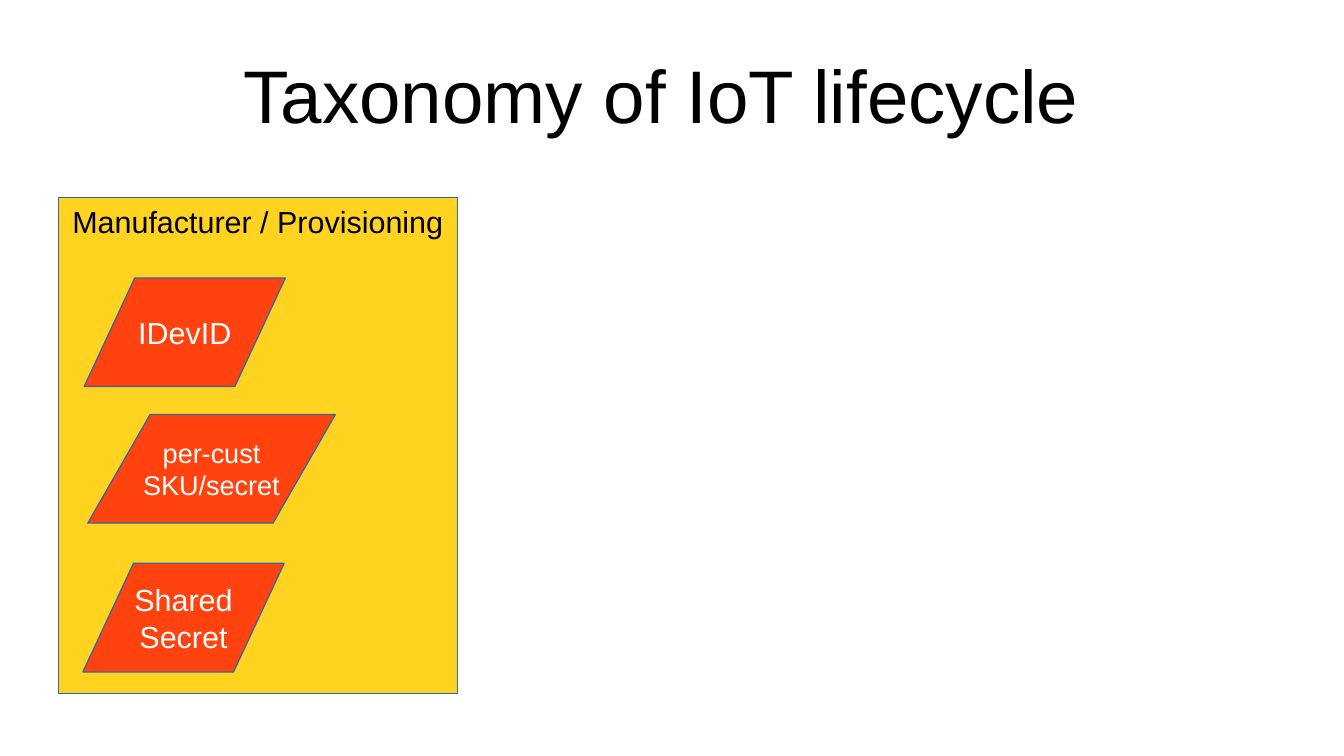
"""Build the IoT lifecycle taxonomy slide."""
from dataclasses import dataclass

from pptx import Presentation
from pptx import util as u
from pptx.dml.color import RGBColor
from pptx.enum import shapes, text


@dataclass(frozen=True)
class Theme:
    """Colours, type sizes and font of the slide."""
    font: str = "Arial"
    ink: str = "000000"
    pale: str = "FFFFFF"
    panel: str = "FFD320"
    tag: str = "FF420E"
    edge: str = "3465A4"
    head: int = 44
    body: int = 18
    small: int = 16


T = Theme()
KIND = shapes.MSO_SHAPE
ANCHOR = text.MSO_ANCHOR
TAG_HIGH = 64.08


def write(shape, words, size=T.body, color=T.ink, anchor=ANCHOR.MIDDLE,
          wrap=False, pad=(7.2, 3.6)):
    """Fill a shape with centred lines of text."""
    frame = shape.text_frame
    frame.text = words
    frame.word_wrap = wrap
    frame.auto_size = text.MSO_AUTO_SIZE.NONE
    frame.vertical_anchor = anchor
    frame.margin_left = frame.margin_right = u.Pt(pad[0])
    frame.margin_top = frame.margin_bottom = u.Pt(pad[1])
    for line in frame.paragraphs:
        line.alignment = text.PP_ALIGN.CENTER
        for run in line.runs:
            run.font.name = T.font
            run.font.size = u.Pt(size)
            run.font.color.rgb = RGBColor.from_string(color)


def draw(slide, kind, box, fill):
    """Add a filled shape with a hairline edge."""
    shape = slide.shapes.add_shape(kind, *map(u.Pt, box))
    shape.shadow.inherit = False
    shape.fill.solid()
    shape.fill.fore_color.rgb = RGBColor.from_string(fill)
    shape.line.color.rgb = RGBColor.from_string(T.edge)
    shape.line.width = u.Pt(0)
    return shape


def title(slide, box, words):
    """Place the slide title in its box."""
    head = slide.shapes.title
    head.left, head.top, head.width, head.height = map(u.Pt, box)
    write(head, words, size=T.head, wrap=True, pad=(0, 0))


def panel(slide, box, label, tags):
    """Draw a labelled stage with its slanted tags."""
    left, top, _, _ = box
    write(draw(slide, KIND.RECTANGLE, box, T.panel), label, anchor=ANCHOR.TOP)
    for words, right, down, wide, slant, size in tags:
        place = (left + right, top + down, wide, TAG_HIGH)
        tag = draw(slide, KIND.PARALLELOGRAM, place, T.tag)
        tag.adjustments[0] = slant
        write(tag, words, size=size, color=T.pale)


def main():
    """Build and save the deck."""
    deck = Presentation()
    deck.slide_width, deck.slide_height = u.Pt(793.44), u.Pt(446.4)
    slide = deck.slides.add_slide(deck.slide_layouts[5])
    title(slide, (39.6, 18, 714.24, 74.88), "Taxonomy of IoT lifecycle ")
    panel(slide, (34.56, 116.64, 235.44, 293.04), "Manufacturer / Provisioning", [
        ("IDevID", 15.12, 47.52, 118.8, 0.466, T.body),
        ("per-cust\nSKU/secret", 17.28, 128.16, 146.16, 0.574, T.small),
        ("Shared\nSecret", 14.4, 216, 118.8, 0.466, T.body),
    ])
    deck.save("out.pptx")


if __name__ == "__main__":
    main()
